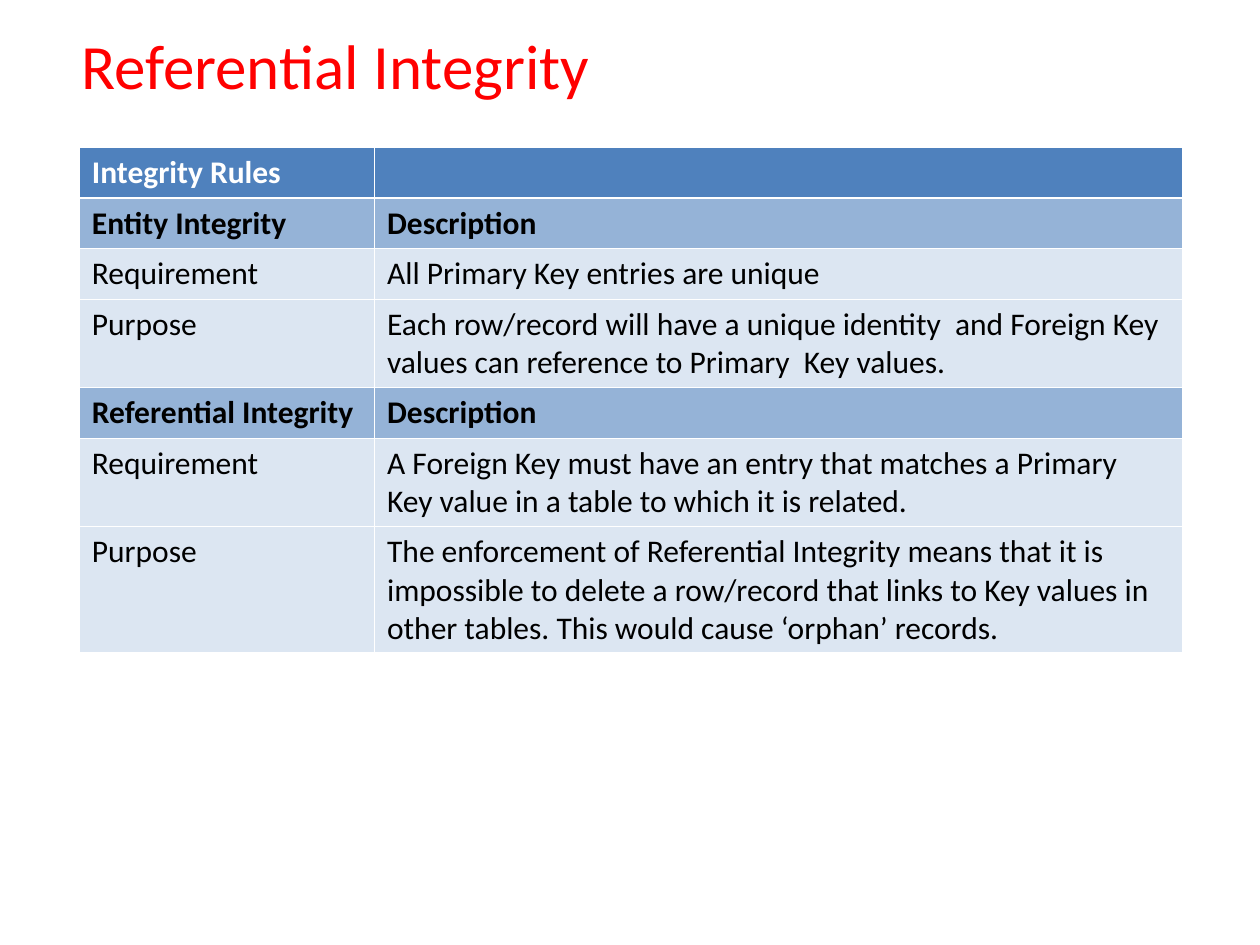
from dataclasses import dataclass

import lxml.etree
import pptx
import pptx.dml.color
import pptx.oxml.ns
import pptx.util

Cm = pptx.util.Cm
Pt = pptx.util.Pt

FONT = "Calibri"
COLORS = {
    "title": "FF0000",
    "header": "4F81BD",
    "section": "95B3D7",
    "body": "DCE6F2",
    "text": "000000",
    "white": "FFFFFF",
}
THIN, THICK = 0.45, 1.47  # border widths in points


@dataclass
class Row:
    label: str
    text: str
    style: str = "body"
    height: float = 1.02


ROWS = [
    Row("Integrity Rules", "", "header"),
    Row("Entity Integrity", "Description", "section"),
    Row("Requirement", "All Primary Key entries are unique"),
    Row("Purpose", "Each row/record will have a unique identity  and Foreign Key "
        "values can reference to Primary  Key values.", height=1.78),
    Row("Referential Integrity", "Description", "section"),
    Row("Requirement", "A Foreign Key must have an entry that matches a Primary "
        "Key value in a table to which it is related.", height=1.78),
    Row("Purpose", "The enforcement of Referential Integrity means that it is "
        "impossible to delete a row/record that links to Key values in other "
        "tables. This would cause ‘orphan’ records.", height=2.54),
]
COLUMN_WIDTHS = [5.95, 16.28]


def rgb(name: str) -> pptx.dml.color.RGBColor:
    return pptx.dml.color.RGBColor.from_string(COLORS[name])


def set_text(tf, text: str, size: float, color: str, bold: bool = False) -> None:
    tf.text = text
    for r in tf.paragraphs[0].runs:
        r.font.name = FONT
        r.font.size = Pt(size)
        r.font.bold = bold
        r.font.color.rgb = rgb(color)


def add_border(cell, side: str, width: float) -> None:
    qn = pptx.oxml.ns.qn
    tc_pr = cell._tc.get_or_add_tcPr()
    ln = lxml.etree.SubElement(tc_pr, qn(f"a:ln{side}"), w=str(Pt(width)))
    fill = lxml.etree.SubElement(ln, qn("a:solidFill"))
    lxml.etree.SubElement(fill, qn("a:srgbClr"), val=COLORS["white"])


def add_title(s, text: str) -> None:
    sp = s.shapes.add_textbox(Cm(1.4), Cm(0.41), Cm(13.69), Cm(1.78))
    sp.text_frame.word_wrap = True
    set_text(sp.text_frame, text, 36, "title")


def add_rules_table(s, rows: list[Row]) -> None:
    table = s.shapes.add_table(
        len(rows), len(COLUMN_WIDTHS), Cm(1.6), Cm(2.97),
        Cm(sum(COLUMN_WIDTHS)), Cm(sum(row.height for row in rows))).table
    for column, width in zip(table.columns, COLUMN_WIDTHS):
        column.width = Cm(width)
    for i, row in enumerate(rows):
        table.rows[i].height = Cm(row.height)
        color = "white" if row.style == "header" else "text"
        for j, text in enumerate((row.label, row.text)):
            cell = table.cell(i, j)
            # Borders come before the fill; a thick line closes the header
            add_border(cell, "L", THIN)
            add_border(cell, "R", THIN)
            add_border(cell, "T", THICK if i == 1 else THIN)
            add_border(cell, "B", THICK if i == 0 else THIN)
            cell.fill.solid()
            cell.fill.fore_color.rgb = rgb(row.style)
            set_text(cell.text_frame, text, 18, color, row.style != "body")


def main() -> None:
    prs = pptx.Presentation()
    prs.slide_width, prs.slide_height = Cm(25.4), Cm(19.05)
    s = prs.slides.add_slide(prs.slide_layouts[6])
    add_title(s, "Referential Integrity")
    add_rules_table(s, ROWS)
    prs.save("out.pptx")


if __name__ == "__main__":
    main()
